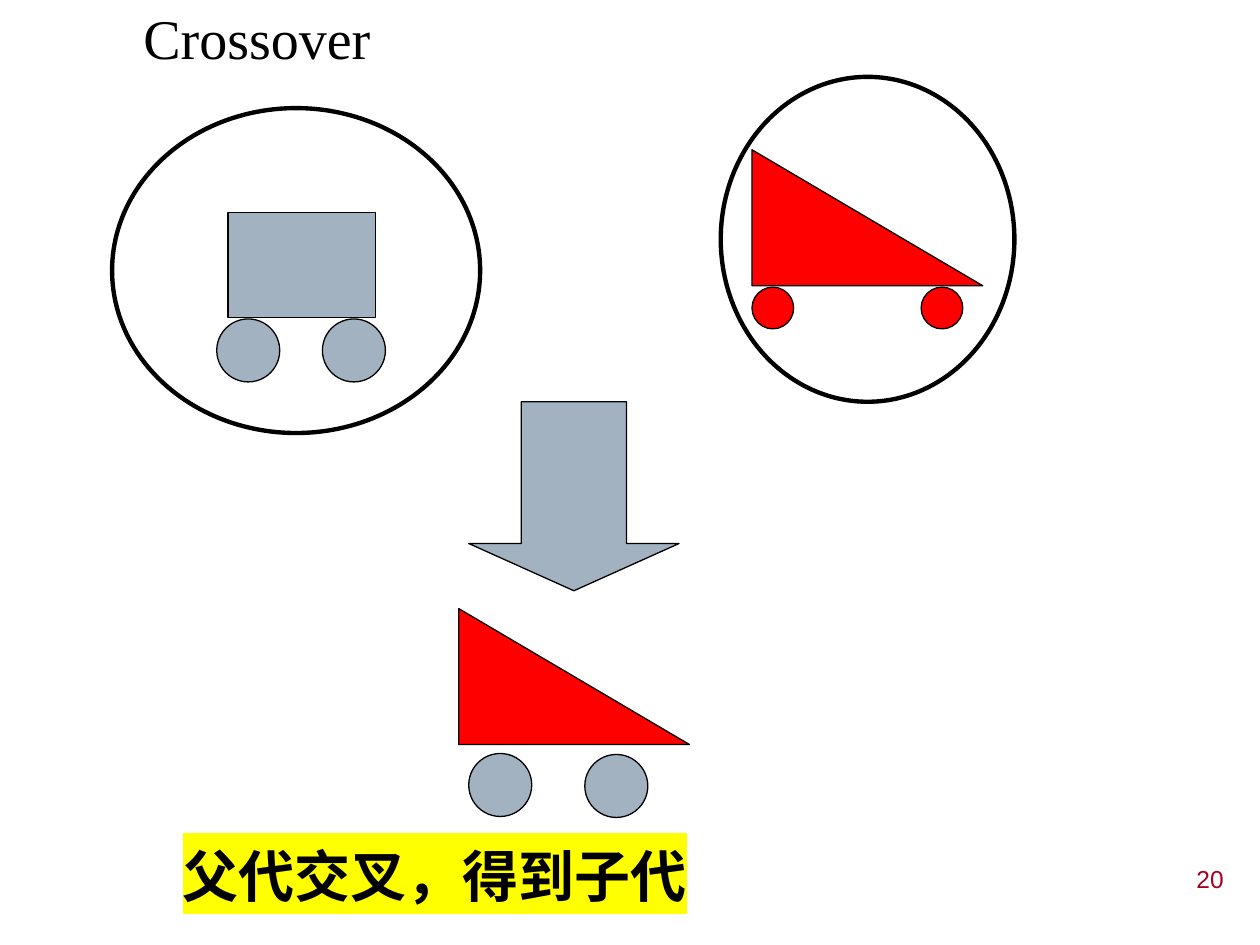
from lxml import etree
from pptx import Presentation
from pptx.dml.color import RGBColor
from pptx.enum.shapes import MSO_SHAPE
from pptx.enum.text import MSO_ANCHOR, MSO_AUTO_SIZE, PP_ALIGN
from pptx.oxml.ns import qn
from pptx.util import Cm, Pt

RECTANGLE = MSO_SHAPE.RECTANGLE
OVAL = MSO_SHAPE.OVAL
TRIANGLE = MSO_SHAPE.RIGHT_TRIANGLE
DOWN_ARROW = MSO_SHAPE.DOWN_ARROW
MIDDLE = MSO_ANCHOR.MIDDLE
FIT_SHAPE = MSO_AUTO_SIZE.SHAPE_TO_FIT_TEXT
LEFT, RIGHT = PP_ALIGN.LEFT, PP_ALIGN.RIGHT

BLACK, GREY, RED = "000000", "A3B2C1", "FF0000"
CRIMSON, YELLOW = "A50021", "FFFF00"
SQUARE_BODY = (RECTANGLE, 2.97, 2.11, GREY)
WEDGE_BODY = (TRIANGLE, 4.65, 2.74, RED)
LARGE_WHEEL = (OVAL, 1.27, 1.27, GREY)
SMALL_WHEEL = (OVAL, 0.84, 0.84, RED)


def color(value):
    """Turn a hex string into a colour."""
    return RGBColor.from_string(value)


def add_figure(page, kind, box, fill=None, weight=0.75):
    """Draw a black-outlined preset shape, hollow when no fill is given."""
    shape = page.shapes.add_shape(kind, *map(Cm, box))
    shape.shadow.inherit = False
    if fill:
        shape.fill.solid()
        shape.fill.fore_color.rgb = color(fill)
    else:
        shape.fill.background()
    shape.line.color.rgb = color(BLACK)
    shape.line.width = Pt(weight)
    return shape


def add_label(page, box, text, size, font="Arial", ink=BLACK, bold=False, align=LEFT, wrap=True):
    """Write one line of text and return its box."""
    label = page.shapes.add_textbox(*map(Cm, box))
    frame = label.text_frame
    frame.word_wrap = wrap
    para = frame.paragraphs[0]
    para.text = text
    para.alignment = align
    para.font.name = font
    para.font.size = Pt(size)
    para.font.bold = bold
    para.font.color.rgb = color(ink)
    return label


def highlight(span, value):
    """Mark a run with a background colour."""
    properties = span._r.get_or_add_rPr()
    marker = etree.SubElement(properties, qn("a:highlight"))
    etree.SubElement(marker, qn("a:srgbClr"), val=value)


def add_vehicle(page, box, parts):
    """Place a body and its wheels at offsets from the box's corner."""
    left, top = box[:2]
    for (kind, width, height, fill), across, down in parts:
        add_figure(page, kind, (left + across, top + down, width, height), fill)


def add_parent(page, box, parts):
    """Draw a vehicle ringed by the oval that fills the box."""
    add_vehicle(page, box, parts)
    add_figure(page, OVAL, box, weight=2.5)


def add_crossover_arrow(page, box):
    """Draw the arrow that leads from parents to child."""
    arrow = add_figure(page, DOWN_ARROW, box, GREY)
    arrow.adjustments[0] = 0.5
    arrow.adjustments[1] = 0.25


def add_title(page, box):
    """Write the slide title."""
    title = add_label(page, box, "Crossover", 32, "Times New Roman", wrap=False)
    title.text_frame.auto_size = FIT_SHAPE


def add_caption(page, box):
    """Write the highlighted conclusion."""
    caption = add_label(page, box, "父代交叉，得到子代", 32, bold=True)
    caption.text_frame.auto_size = FIT_SHAPE
    highlight(caption.text_frame.paragraphs[0].runs[0], YELLOW)


def add_page_number(page, box):
    """Write the page number, centred in the height of its box."""
    number = add_label(page, box, "20", 14, ink=CRIMSON, align=RIGHT)
    number.text_frame.vertical_anchor = MIDDLE


def main():
    """Build and save the slide."""
    deck = Presentation()
    deck.slide_width, deck.slide_height = Cm(25.4), Cm(19.05)
    page = deck.slides.add_slide(deck.slide_layouts[6])
    add_page_number(page, (19.41, 17.22, 5.51, 0.99))
    add_title(page, (2.64, -0.05, 5.11, 1.6))
    add_parent(page, (2.26, 2.18, 7.42, 6.55), [
        (SQUARE_BODY, 2.34, 2.11), (LARGE_WHEEL, 2.11, 4.25), (LARGE_WHEEL, 4.24, 4.25)])
    add_parent(page, (14.53, 1.55, 5.92, 6.55), [
        (SMALL_WHEEL, 0.63, 4.24), (SMALL_WHEEL, 4.04, 4.24), (WEDGE_BODY, 0.63, 1.47)])
    add_crossover_arrow(page, (9.45, 8.1, 4.24, 3.81))
    add_vehicle(page, (9.25, 12.27, 4.65, 4.21), [
        (LARGE_WHEEL, 0.2, 2.92), (LARGE_WHEEL, 2.54, 2.94), (WEDGE_BODY, 0, 0)])
    add_caption(page, (3.43, 16.84, 15.98, 1.63))
    deck.save("out.pptx")


if __name__ == "__main__":
    main()
